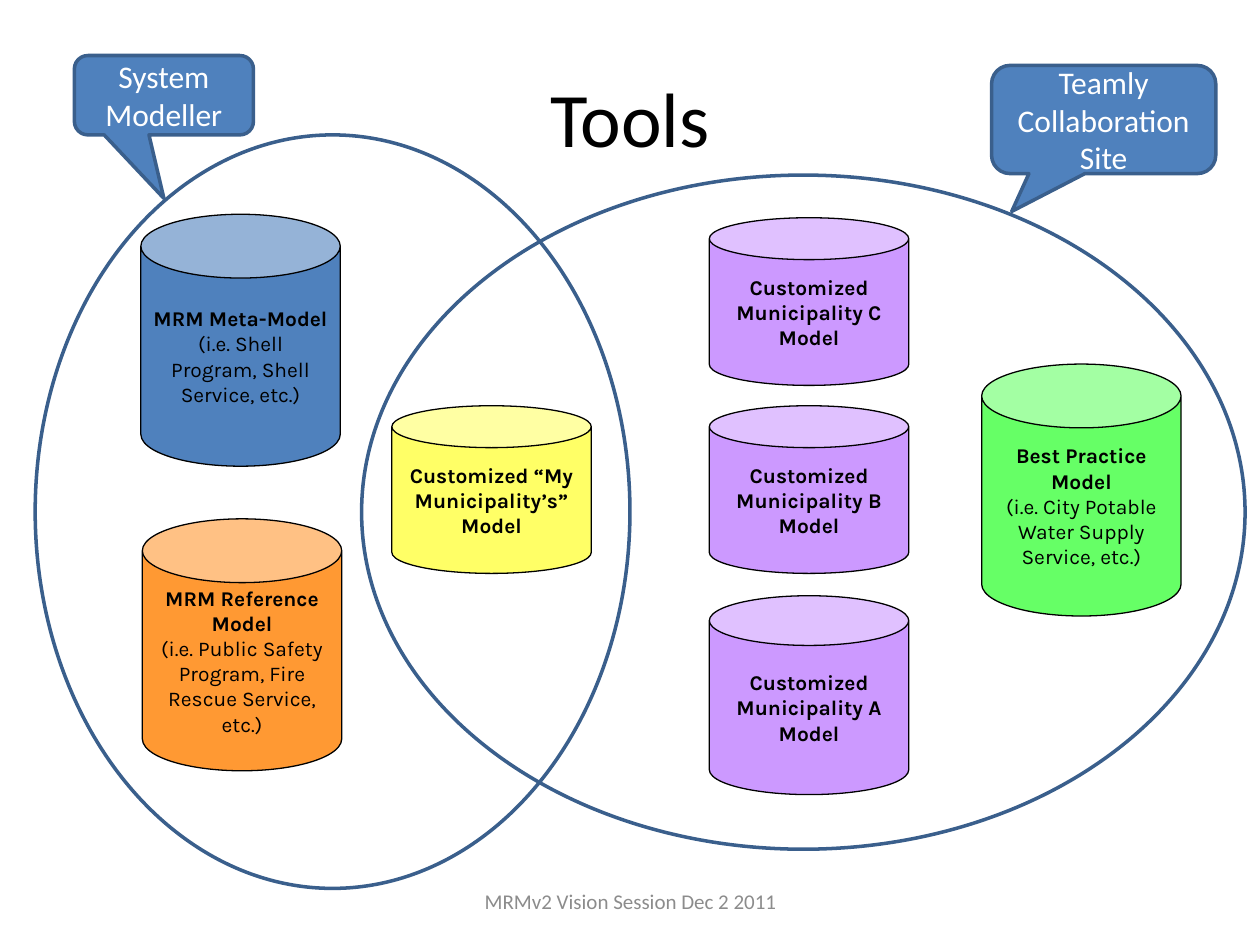
from dataclasses import dataclass

from pptx import Presentation
from pptx import util as u
from pptx.dml.color import RGBColor
from pptx.enum import shapes, text


@dataclass(frozen=True)
class Theme:
    blue: str = "4F81BD"
    outline: str = "3A5F8C"
    white: str = "FFFFFF"
    black: str = "000000"
    grey: str = "8C8C8C"
    purple: str = "CC99FF"
    orange: str = "FF9933"
    green: str = "66FF66"
    yellow: str = "FFFF66"
    body_font: str = "Calibri"
    model_font: str = "Karla"
    title_size: int = 44
    callout_size: int = 18
    small_size: int = 12


theme = Theme()


def add_outlined(kind, box, fill, line, line_width, adjustments=()):
    shape = slide.shapes.add_shape(kind, *[u.Cm(length) for length in box])
    shape.shadow.inherit = False
    if fill:
        shape.fill.solid()
        shape.fill.fore_color.rgb = RGBColor.from_string(fill)
    else:
        shape.fill.background()
    shape.line.color.rgb = RGBColor.from_string(line)
    shape.line.width = u.Pt(line_width)
    for index, value in enumerate(adjustments):
        shape.adjustments[index] = value
    return shape


def write_lines(shape, lines, font, size, color, bold_first=False):
    frame = shape.text_frame
    frame.word_wrap = True
    frame.vertical_anchor = text.MSO_ANCHOR.MIDDLE
    for index, line in enumerate(lines):
        paragraph = frame.paragraphs[0] if index == 0 else frame.add_paragraph()
        paragraph.alignment = text.PP_ALIGN.CENTER
        run = paragraph.add_run()
        run.text = line
        run.font.name = font
        run.font.size = u.Pt(size)
        run.font.bold = bold_first and index == 0
        run.font.color.rgb = RGBColor.from_string(color)


presentation = Presentation()
presentation.slide_width = u.Cm(25.4)
presentation.slide_height = u.Cm(19.05)
slide = presentation.slides.add_slide(presentation.slide_layouts[5])

# Title
title = slide.shapes.title
title.left, title.top = u.Cm(1.27), u.Cm(0.76)
title.width, title.height = u.Cm(22.86), u.Cm(3.18)
write_lines(title, ["Tools"], theme.body_font, theme.title_size, theme.black)

# Collaboration area, behind the models
ellipse = shapes.MSO_SHAPE.OVAL
add_outlined(ellipse, (7.29, 3.53, 17.81, 13.59), theme.white, theme.outline, 2)

# Models: left, top, height, rim, fill, lines
can_width = 4.02
short, tall = (3.38, 0.25), (5.08, 0.32)
models = [
    (14.3, 4.39, *short, theme.purple, ["Customized Municipality C Model"]),
    (2.84, 4.32, *tall, theme.blue,
     ["MRM Meta-Model", "(i.e. Shell Program, Shell Service, etc.)"]),
    (2.87, 10.46, *tall, theme.orange,
     ["MRM Reference Model",
      "(i.e. Public Safety Program, Fire Rescue Service, etc.)"]),
    (19.79, 7.34, *tall, theme.green,
     ["Best Practice Model", "(i.e. City Potable Water Supply Service, etc.)"]),
    (14.3, 8.18, *short, theme.purple, ["Customized Municipality B Model"]),
    (14.3, 12.01, 4.01, 0.25, theme.purple, ["Customized Municipality A Model"]),
    (7.9, 8.18, *short, theme.yellow, ["Customized “My Municipality’s” Model"]),
]
for left, top, height, rim, fill, lines in models:
    can = add_outlined(shapes.MSO_SHAPE.CAN, (left, top, can_width, height),
                       fill, theme.black, 0.75, [rim])
    write_lines(can, lines, theme.model_font, theme.small_size, theme.black,
                bold_first=True)

# Architecture area, outline only
add_outlined(ellipse, (0.71, 2.72, 11.99, 15.19), None, theme.outline, 2)

# Tool callouts: box, pointer, lines
callouts = [
    ((1.5, 1.12, 3.61, 1.6), (0, 1.3, 0.17), ["System", "Modeller"]),
    ((19.99, 1.32, 4.52, 2.18), (-0.41, 0.85, 0.17),
     ["Teamly", "Collaboration Site"]),
]
for box, pointer, lines in callouts:
    callout = add_outlined(shapes.MSO_SHAPE.ROUNDED_RECTANGULAR_CALLOUT, box,
                           theme.blue, theme.outline, 2, pointer)
    write_lines(callout, lines, theme.body_font, theme.callout_size, theme.white)

# Footer
footer = slide.shapes.add_textbox(u.Cm(8.69), u.Cm(17.65), u.Cm(8.05), u.Cm(1.02))
write_lines(footer, ["MRMv2 Vision Session Dec 2 2011"],
            theme.body_font, theme.small_size, theme.grey)

presentation.save("out.pptx")
